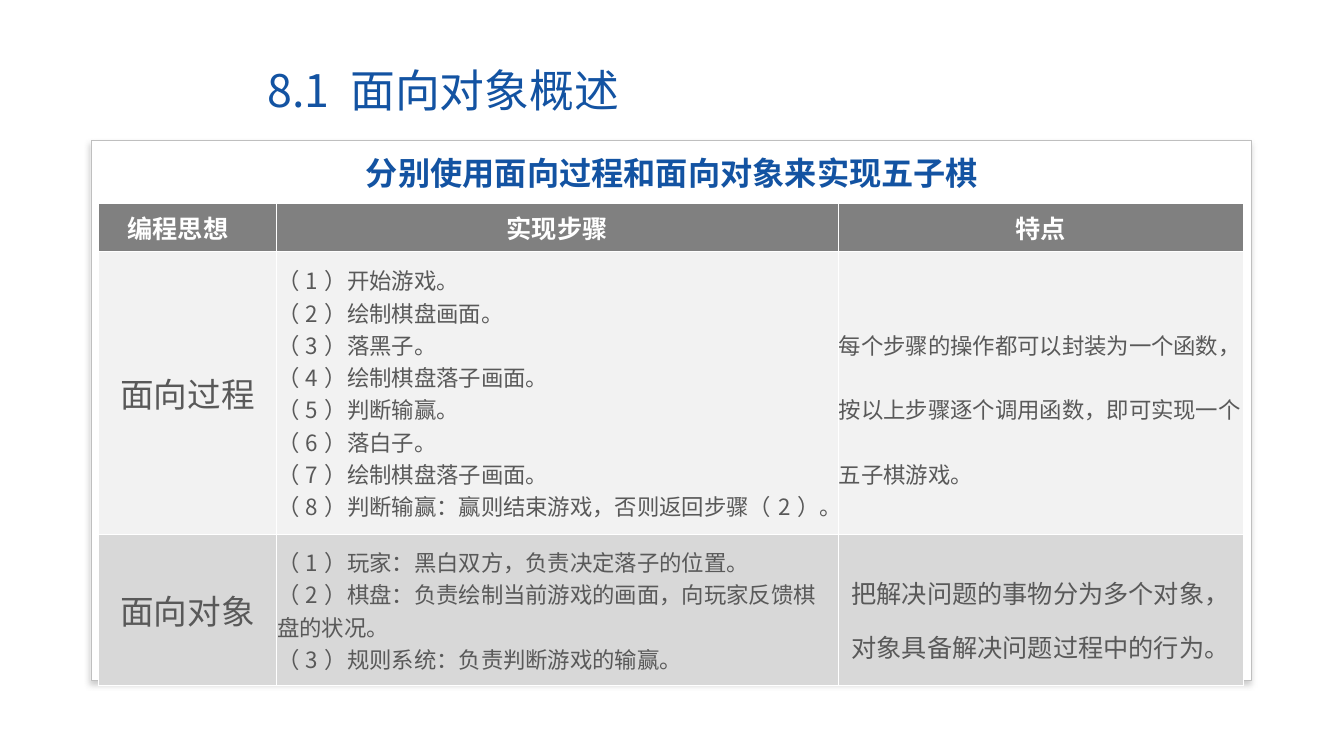
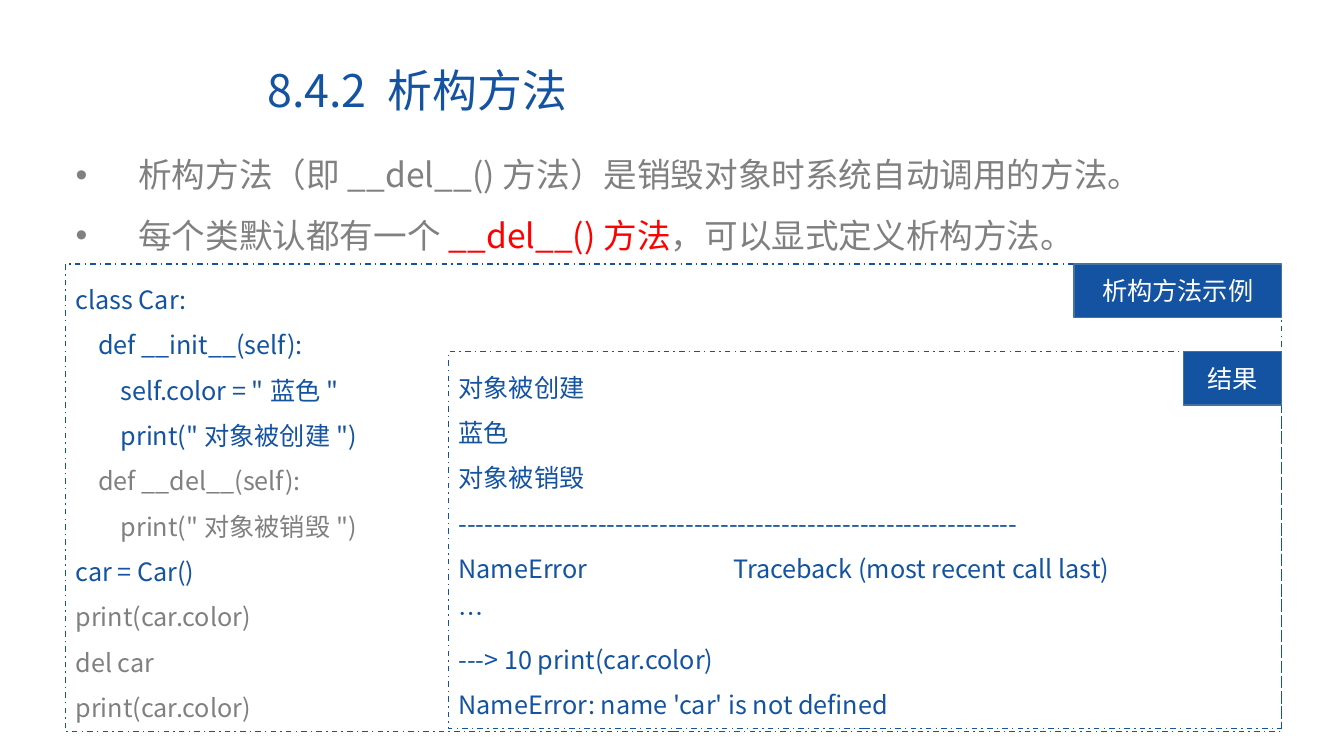
import pptx
import pptx.dml.color
import pptx.enum.dml
import pptx.enum.shapes
import pptx.enum.text
import pptx.oxml
import pptx.oxml.ns
import pptx.util

WIDTH, HEIGHT = pptx.util.Inches(13.33), pptx.util.Inches(7.5)
FONT = "Noto Sans CJK SC"
BLUE, GREY, DARK, RED, WHITE = "1353A2", "808080", "595959", "FF0000", "FFFFFF"
LEFT_EDGE, RIGHT_EDGE = 4.88, 95.35
TAG_HEIGHT = 7.07
ALIGN = pptx.enum.text.PP_ALIGN
ANCHOR = pptx.enum.text.MSO_ANCHOR
RECTANGLE = pptx.enum.shapes.MSO_SHAPE.RECTANGLE


def across(share):
    """Return a length from a percentage of the slide's width."""
    return round(WIDTH * share / 100)


def down(share):
    """Return a length from a percentage of the slide's height."""
    return round(HEIGHT * share / 100)


def area(left, top, width, height):
    """Return a place on the slide from percentages of its size."""
    return across(left), down(top), across(width), down(height)


def color(value):
    """Return a colour from a hex string."""
    return pptx.dml.color.RGBColor.from_string(value)


def xml(markup):
    """Return an element from markup with the drawing namespace on its root."""
    head, rest = markup.split(" ", 1)
    return pptx.oxml.parse_xml(f"{head} {pptx.oxml.ns.nsdecls('a')} {rest}")


def add_span(para, text, size, ink, bold):
    """Add one formatted run to a paragraph."""
    span = para.add_run()
    span.text = text
    span.font.size = pptx.util.Pt(size)
    span.font.name = FONT
    span.font.bold = bold
    span.font.color.rgb = color(ink)
    latin = span.font._element.find(pptx.oxml.ns.qn("a:latin"))
    latin.addnext(xml(f'<a:ea typeface="{FONT}"/>'))


def write(frame, lines, size=18, ink=BLUE, bold=False, align=ALIGN.LEFT,
          anchor=ANCHOR.TOP, spacing=1.0, bullet=False, tab=None):
    """Fill a text frame with lines, each a string or a list of (text, colour)."""
    frame.word_wrap = True
    frame.vertical_anchor = anchor
    for number, line in enumerate(lines):
        para = frame.add_paragraph() if number else frame.paragraphs[0]
        properties = para._p.get_or_add_pPr()
        if bullet:
            indent = pptx.util.Inches(0.62)
            properties.set("marL", str(indent))
            properties.set("indent", str(-indent))
            properties.append(xml('<a:buChar char="•"/>'))
        if tab:
            properties.append(xml(f'<a:tabLst ><a:tab pos="{tab}" algn="l"/></a:tabLst>'))
        para.alignment = align
        para.line_spacing = spacing
        para.space_before = pptx.util.Pt(0)
        for text, span_ink in [(line, ink)] if isinstance(line, str) else line:
            add_span(para, text, size, span_ink, bold)


def fill_placeholder(box, place, lines, **style):
    """Move a placeholder and write its text."""
    box.left, box.top, box.width, box.height = place
    box.text_frame.auto_size = pptx.enum.text.MSO_AUTO_SIZE.NONE
    write(box.text_frame, lines, **style)


def add_page(deck, layout, title):
    """Add a slide with the shared title style."""
    page = deck.slides.add_slide(deck.slide_layouts.get_by_name(layout))
    fill_placeholder(page.shapes.title, area(19.13, 8.4, 68.57, 7.87), [title],
                     size=32, anchor=ANCHOR.MIDDLE, spacing=0.9)
    return page


def add_box(shapes, place, fill=None, line=BLUE, weight=1, dashed=False):
    """Add a rectangle without a shadow."""
    box = shapes.add_shape(RECTANGLE, *place)
    box.shadow.inherit = False
    if fill:
        box.fill.solid()
        box.fill.fore_color.rgb = color(fill)
    else:
        box.fill.background()
    box.line.color.rgb = color(line)
    box.line.width = pptx.util.Pt(weight)
    if dashed:
        box.line.dash_style = pptx.enum.dml.MSO_LINE.DASH_DOT
    return box


def add_card(page, place):
    """Add a white card with a soft shadow below it."""
    card = add_box(page.shapes, place, fill=WHITE, line="BFBFBF", weight=0.25)
    effects = card._element.spPr.find(pptx.oxml.ns.qn("a:effectLst"))
    blur, distance = pptx.util.Pt(4), pptx.util.Pt(3)
    effects.append(xml(
        f'<a:outerShdw blurRad="{blur}" dist="{distance}" dir="5400000" algn="t" '
        f'rotWithShape="0"><a:srgbClr val="{GREY}"><a:alpha val="40000"/></a:srgbClr>'
        '</a:outerShdw>'))


def format_cell(cell, fill, lines, **style):
    """Write a table cell and give it a fill and thin white borders."""
    cell.margin_left = cell.margin_right = cell.margin_top = pptx.util.Inches(0.01)
    cell.margin_bottom = 0
    write(cell.text_frame, lines, **style)
    cell.vertical_anchor = ANCHOR.MIDDLE
    cell.fill.solid()
    cell.fill.fore_color.rgb = color(fill)
    properties = cell._tc.get_or_add_tcPr()
    for position, side in enumerate("LRTB"):
        properties.insert(position, xml(
            f'<a:ln{side} w="{pptx.util.Pt(0.5)}"><a:solidFill><a:srgbClr val="{WHITE}"/>'
            f'</a:solidFill></a:ln{side}>'))


def add_table(page, left, top, widths, heights, rows):
    """Add a table from rows of (fill, cells), each cell (lines, style)."""
    place = area(left, top, sum(widths), sum(heights))
    table = page.shapes.add_table(len(heights), len(widths), *place).table
    table.horz_banding = False
    for column, width in zip(table.columns, widths):
        column.width = across(width)
    for row, height, (fill, cells) in zip(table.rows, heights, rows):
        row.height = down(height)
        for cell, (lines, style) in zip(row.cells, cells):
            format_cell(cell, fill, lines, **style)
    return table


def add_panel(page, left, top, height, lines, tag, tag_width, tab=None):
    """Add a dashed panel of code with a label in its top right corner."""
    group = page.shapes.add_group_shape()
    panel = add_box(group.shapes, area(left, top, RIGHT_EDGE - left, height), dashed=True)
    write(panel.text_frame, lines, spacing=1.5, tab=tab)
    place = area(RIGHT_EDGE - tag_width, top, tag_width, TAG_HEIGHT)
    label = add_box(group.shapes, place, fill=BLUE, line="43739E")
    write(label.text_frame, [tag], ink=WHITE, align=ALIGN.CENTER, anchor=ANCHOR.MIDDLE)


def build_overview(deck):
    """Build the comparison of the two ways of programming."""
    page = add_page(deck, "Title Only", "8.1 面向对象概述")
    add_card(page, area(6.75, 18.53, 86.35, 71.47))

    header = dict(ink=WHITE, bold=True, align=ALIGN.CENTER)
    idea = dict(size=24, ink=DARK, align=ALIGN.CENTER)
    steps = dict(size=16, ink=DARK)
    procedural_steps = [
        "（1）开始游戏。", "（2）绘制棋盘画面。", "（3）落黑子。",
        "（4）绘制棋盘落子画面。", "（5）判断输赢。", "（6）落白子。",
        "（7）绘制棋盘落子画面。",
        "（8）判断输赢：赢则结束游戏，否则返回步骤（2）。"]
    object_steps = [
        "（1）玩家：黑白双方，负责决定落子的位置。",
        "（2）棋盘：负责绘制当前游戏的画面，向玩家反馈棋盘的状况。",
        "（3）规则系统：负责判断游戏的输赢。"]
    procedural_trait = ["每个步骤的操作都可以封装为一个函数，"
                        "按以上步骤逐个调用函数，即可实现一个五子棋游戏。"]
    object_trait = ["把解决问题的事物分为多个对象，", "对象具备解决问题过程中的行为。"]
    rows = [
        (GREY, [([name], header) for name in ("编程思想", "实现步骤", "特点")]),
        ("F2F2F2", [(["面向过程"], idea), (procedural_steps, steps),
                    (procedural_trait, dict(steps, spacing=2.0))]),
        ("D8D8D8", [(["面向对象"], idea), (object_steps, steps),
                    (object_trait, dict(ink=DARK, align=ALIGN.CENTER, spacing=1.5))]),
    ]
    table = add_table(page, 7.35, 26.93, (13.2, 41.79, 30.16), (6.27, 37.47, 20), rows)
    table.cell(0, 0).margin_right = pptx.util.Inches(0.2)

    caption = page.shapes.add_textbox(*area(8.1, 19.6, 83.87, 6.53))
    write(caption.text_frame, ["分别使用面向过程和面向对象来实现五子棋"],
          size=23, bold=True, align=ALIGN.CENTER)


def build_destructor(deck):
    """Build the explanation of the destructor with its code and result."""
    page = add_page(deck, "Title and Content", "8.4.2 析构方法")
    points = [
        "析构方法（即__del__()方法）是销毁对象时系统自动调用的方法。",
        [("每个类默认都有一个", GREY), ("__del__()方法", RED),
         ("，可以显式定义析构方法。", GREY)]]
    fill_placeholder(page.placeholders[1],
                     area(LEFT_EDGE, 17.07, RIGHT_EDGE - LEFT_EDGE, 17.47),
                     points, size=24, ink=GREY, spacing=1.5, bullet=True)

    code = [
        "class Car:",
        "    def __init__(self):",
        "        self.color = \"蓝色\"",
        "        print(\"对象被创建\")",
        [("    def __del__(self):", GREY)],
        [("        print(\"对象被销毁\")", GREY)],
        "car = Car()",
        [("print(car.color)", GREY)],
        [("del car", GREY)],
        [("print(car.color)", GREY)]]
    result = [
        "对象被创建", "蓝色", "对象被销毁", "-" * 64,
        "NameError\tTraceback (most recent call last)", "…",
        "---> 10 print(car.color)",
        "NameError: name 'car' is not defined"]
    add_panel(page, LEFT_EDGE, 34.93, 61.87, code, "析构方法示例", 15.45)
    add_panel(page, 33.38, 46.53, 49.87, result, "结果", 7.28, tab=across(20.45))


def main():
    """Build and save the deck."""
    deck = pptx.Presentation()
    deck.slide_width, deck.slide_height = WIDTH, HEIGHT
    build_overview(deck)
    build_destructor(deck)
    deck.save("out.pptx")


if __name__ == "__main__":
    main()
